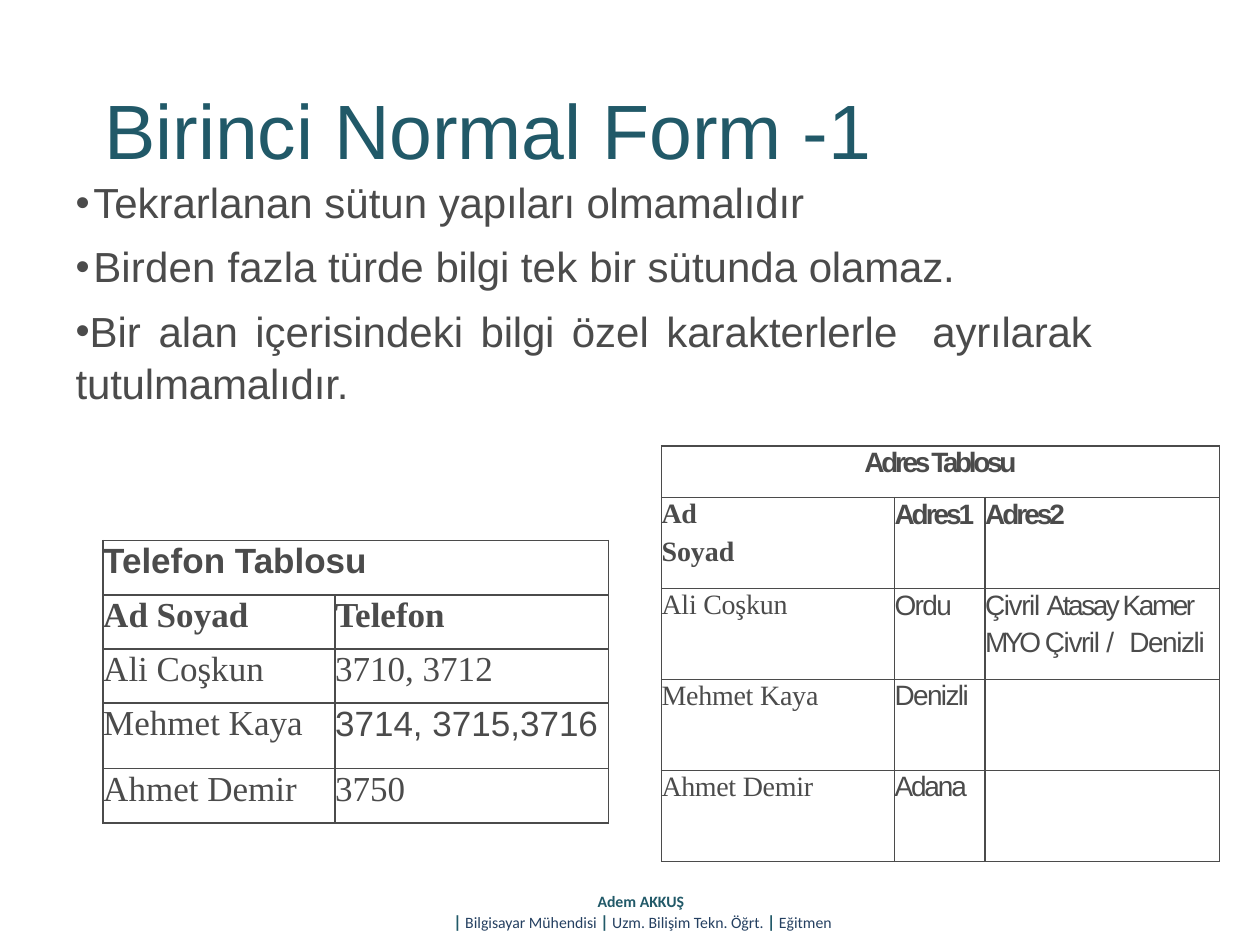
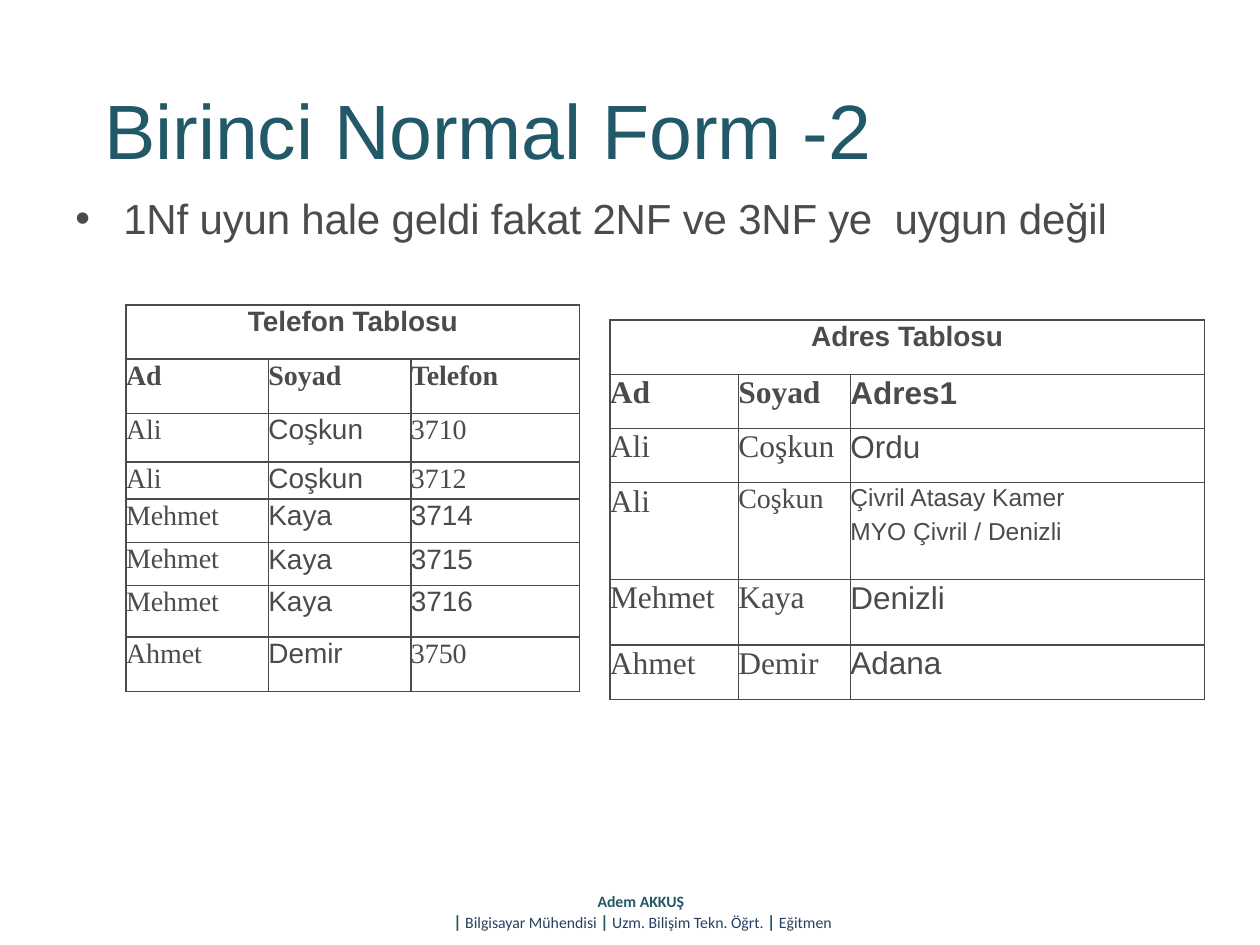
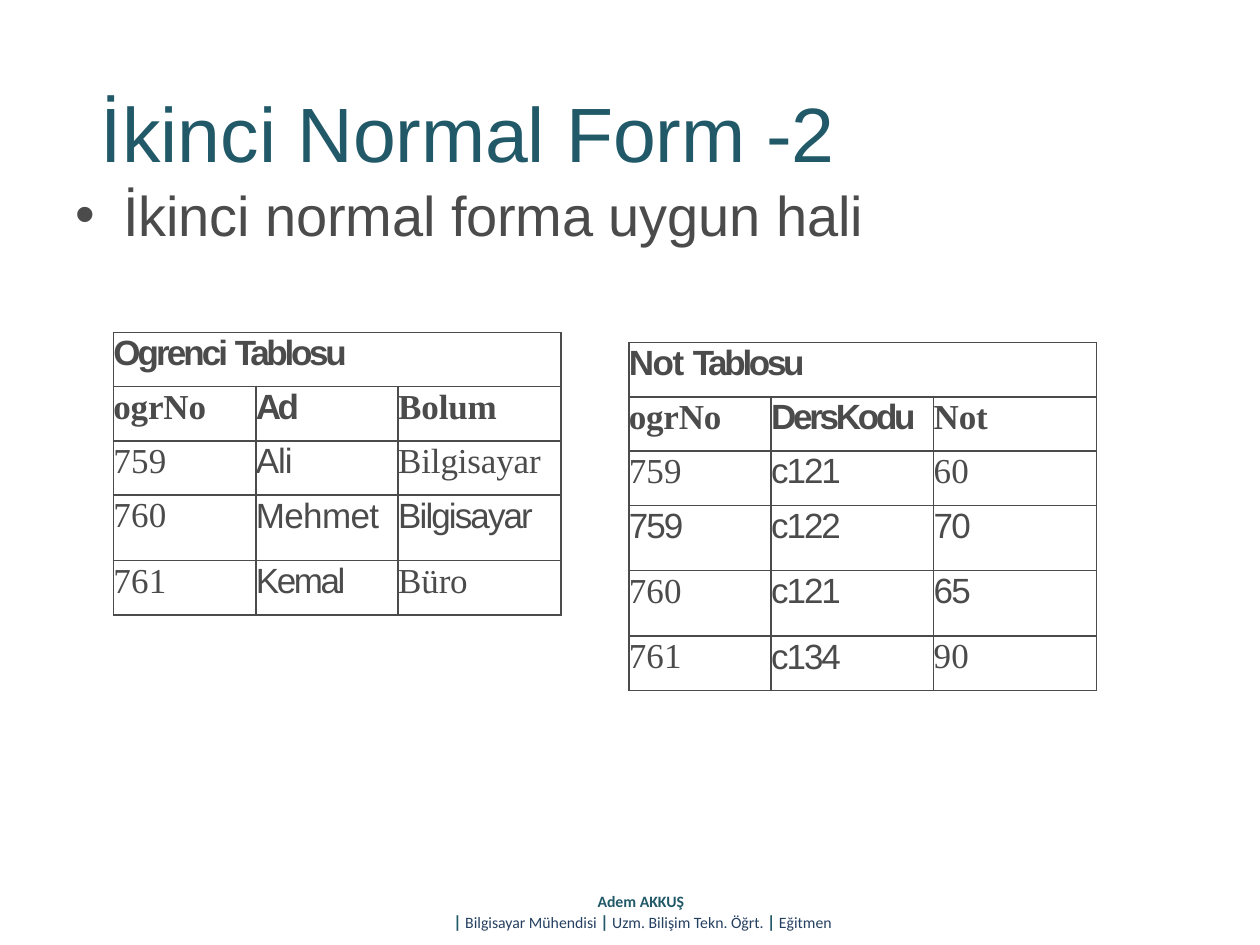
import pptx
import pptx.util
import pptx.dml.color
import pptx.enum.text
import pptx.oxml
import pptx.oxml.ns
import lxml.etree

Pt = pptx.util.Pt
ALIGN = pptx.enum.text.PP_ALIGN
ANCHOR = pptx.enum.text.MSO_ANCHOR

TEAL, GREY, NAVY = "215968", "4B4B4B", "254061"
FONTS = {"A": "Arial", "T": "Times New Roman"}

BRAND = {"size": 9, "bold": True, "hue": TEAL}
BAR = {"size": 10, "bold": True, "hue": TEAL}
JOB = {"size": 9, "bold": False, "hue": NAVY}
FOOTER = [
    ("Adem AKKUŞ ", BRAND), None,
    ("|", BAR), (" Bilgisayar Mühendisi ", JOB),
    ("|", BAR), (" Uzm. Bilişim Tekn. Öğrt. ", JOB),
    ("|", BAR), (" Eğitmen", JOB),
]
FOOTBOX = (216, 509.8, 302.4, 23)

# Paragraphs are strings, or text and letter spacing in turn.
SLIDES = [
    {
        "title": ("Birinci Normal Form -1", -0.1),
        "head": (59.8, 45.4, 594, 54.7),
        "box": (42.5, 95, 635.8, 138.2),
        "size": 24,
        "list": [
            {"text": ("Tekrarlanan sütun ", 0, "yapıları olmamalıdır", -0.1),
             "left": 10.8, "hang": -10.1},
            {"text": ("Birden ", 0.1, "fazla türde ", 0, "bilgi ", -0.1,
                      "tek ", 0.1, "bir sütunda ", 0, "olamaz.", -0.1),
             "left": 10.8, "hang": -10.1, "gap": 6.7},
            {"text": ("Bir alan içerisindeki ", 0, "bilgi ", -0.1,
                      "özel karakterlerle  ", 0,
                      "ayrılarak tutulmamalıdır.", -0.1),
             "left": 0.7, "hang": 0, "gap": 6.8, "right": 54.5},
        ],
        "tables": [
            {
                "at": (59, 308.9), "size": 20, "align": ALIGN.LEFT,
                "cols": (132.5, 156.2), "rows": (31, 31, 31, 37.4, 31),
                "cells": [
                    [("A", "Telefon Tablosu")],
                    [("T", "Ad Soyad"), ("T", "Telefon")],
                    [("T", "Ali Coşkun"), ("T", "3710, 3712")],
                    [("T", "Mehmet Kaya"), ("A", "3714, 3715,3716")],
                    [("T", "Ahmet Demir"), ("T", "3750")],
                ],
            },
            {
                "at": (378, 254.9), "size": 16, "align": ALIGN.CENTER,
                "cols": (133.2, 51.8, 133.9), "rows": (29.5, 52, 52, 52, 52),
                "cells": [
                    [("A", ("Adres Tablosu", -1.9))],
                    [("T", ("Ad", -0.1), "Soyad"), ("A", ("Adres1", -1.7)),
                     ("A", ("Adres2", -1.7))],
                    [("T", ("Ali Coşkun", -0.1)), ("A", ("Ordu", -0.9)),
                     ("A", ("Çivril ", -0.8, "Atasay Kamer", -1.4),
                      ("MYO ", -2.2, "Çivril ", -0.8, "/ ", 2.1,
                       "Denizli", -0.8))],
                    [("T", ("Mehmet Kaya", -0.1)), ("A", ("Denizli", -0.9))],
                    [("T", ("Ahmet ", -0.2, "Demir", -0.1)),
                     ("A", ("Adana", -1.2))],
                ],
            },
        ],
    },
    {
        "title": ("Birinci Normal Form -2", -0.1),
        "head": (59.8, 45.4, 594, 54.7),
        "box": (42.5, 108.7, 629.3, 30.2),
        "size": 24,
        "list": [
            {"text": ("1Nf uyun hale geldi fakat 2NF ve 3NF ", -0.1,
                      "ye  uygun ", -0.2, "değil", -0.1),
             "left": 28, "hang": -27.4},
        ],
        "tables": [
            {
                "at": (72, 174.2), "size": 16, "align": ALIGN.CENTER,
                "cols": (81.4, 81.4, 96.5),
                "rows": (31, 31, 28, 21, 25, 24.5, 29.5, 31),
                "cells": [
                    [("A", "Telefon Tablosu")],
                    [("T", "Ad"), ("T", "Soyad"), ("T", "Telefon")],
                    [("T", "Ali"), ("A", "Coşkun"), ("T", "3710")],
                    [("T", "Ali"), ("A", "Coşkun"), ("T", "3712")],
                    [("T", "Mehmet"), ("A", "Kaya"), ("A", "3714")],
                    [("T", "Mehmet"), ("A", "Kaya"), ("A", "3715")],
                    [("T", "Mehmet"), ("A", "Kaya"), ("A", "3716")],
                    [("T", "Ahmet"), ("A", "Demir"), ("T", "3750")],
                ],
            },
            {
                "at": (348.5, 182.9), "size": 18, "align": ALIGN.CENTER,
                "cols": (73.4, 64.1, 202.3),
                "rows": (31, 31, 31, 55.4, 37.4, 31),
                "cells": [
                    [("A16", "Adres Tablosu")],
                    [("T", "Ad"), ("T", "Soyad"), ("A", "Adres1")],
                    [("T", "Ali"), ("T", "Coşkun"), ("A", "Ordu")],
                    [("T", "Ali"), ("T16", "Coşkun"),
                     ("A14", "Çivril Atasay Kamer", "MYO Çivril / Denizli")],
                    [("T", "Mehmet"), ("T", "Kaya"), ("A", "Denizli")],
                    [("T", "Ahmet"), ("T", "Demir"), ("A", "Adana")],
                ],
            },
        ],
    },
    {
        "title": ("İkinci ", 0, "Normal Form -2", -0.1),
        "head": (57.6, 46.8, 422.6, 54.7),
        "box": (42.5, 101.5, 452.9, 40.3),
        "size": 32,
        "list": [
            {"text": ("İkinci normal forma uygun hali", -0.1),
             "left": 28, "hang": -27.4},
        ],
        "tables": [
            {
                "at": (64.8, 190), "size": 20, "align": ALIGN.LEFT,
                "cols": (81.4, 81.4, 92.9), "rows": (31, 31, 31, 37.4, 31),
                "cells": [
                    [("A", ("Ogrenci ", -1.7, "Tablosu", -1.9))],
                    [("T", ("ogrNo", -0.1)), ("A", ("Ad", -2)),
                     ("T", ("Bolum", -0.1))],
                    [("T", ("759", 0.1)), ("A", ("Ali", -0.6)),
                     ("T", ("Bilgisayar", -0.1))],
                    [("T", ("760", 0.1)), ("A", ("Mehmet", -0.4)),
                     ("A", ("Bilgisayar", -1.1))],
                    [("T", ("761", 0.1)), ("A", ("Kemal", -1.4)),
                     ("T", ("Büro", -0.1))],
                ],
            },
            {
                "at": (359.3, 195.8), "size": 20, "align": ALIGN.LEFT,
                "cols": (81.4, 92.9, 92.9),
                "rows": (31, 31, 31, 37.4, 37.4, 31),
                "cells": [
                    [("A", ("Not ", -0.8, "Tablosu", -1.9))],
                    [("T", ("ogrNo", -0.1)), ("A", ("DersKodu", -1.9)),
                     ("T", ("Not", -0.1))],
                    [("T", ("759", 0.1)), ("A", ("c121", -1.2)),
                     ("T", ("60", 0.1))],
                    [("A", ("759", -1.1)), ("A", ("c122", -1.2)),
                     ("A", ("70", -1.1))],
                    [("T", ("760", 0.1)), ("A", ("c121", -1.2)),
                     ("A", ("65", -1.1))],
                    [("T", ("761", 0.1)), ("A", ("c134", -1.2)),
                     ("T", ("90", 0.1))],
                ],
            },
        ],
    },
]


def tint(code):
    return pptx.dml.color.RGBColor.from_string(code)


def put(item, vals):
    for key, val in vals.items():
        setattr(item, key, val)


def place(shape, box):
    put(shape, dict(zip(("left", "top", "width", "height"), map(Pt, box))))


def frame(shape, top, anchor):
    put(shape.text_frame, {
        "word_wrap": True, "auto_size": pptx.enum.text.MSO_AUTO_SIZE.NONE,
        "margin_left": 0, "margin_right": 0, "margin_top": Pt(top),
        "margin_bottom": 0, "vertical_anchor": anchor,
    })
    return shape.text_frame


def node(root, tag, **vals):
    part = lxml.etree.SubElement(root, pptx.oxml.ns.qn("a:" + tag))
    for key, val in vals.items():
        part.set(key, str(val))
    return part


def write(para, text, size, hue, face="Arial", bold=False, gap=0):
    run = para.add_run()
    run.text = text
    put(run.font, {"name": face, "size": Pt(size), "bold": bold})
    run.font.color.rgb = tint(hue)
    if gap:
        run._r.get_or_add_rPr().set("spc", str(round(gap * 100)))


def fill(para, text, size, hue, face="Arial", bold=False):
    pairs = (text, 0) if isinstance(text, str) else text
    for word, gap in zip(pairs[::2], pairs[1::2]):
        write(para, word, size, hue, face, bold, gap)


def line(body, num):
    return body.add_paragraph() if num else body.paragraphs[0]


def add_head(slide, data):
    shape = slide.shapes.title
    place(shape, data["head"])
    para = frame(shape, 0.7, ANCHOR.BOTTOM).paragraphs[0]
    para.alignment = ALIGN.LEFT
    fill(para, data["title"], 44, TEAL)


def add_list(slide, data):
    shape = slide.placeholders[1]
    place(shape, data["box"])
    body = frame(shape, 0.7, ANCHOR.BOTTOM)
    many = len(data["list"]) > 1
    for num, item in enumerate(data["list"]):
        para = line(body, num)
        put(para, {
            "alignment": ALIGN.JUSTIFY if many else ALIGN.LEFT,
            "line_spacing": 1.04, "space_before": Pt(item.get("gap", 0)),
        })
        prop = para._p.get_or_add_pPr()
        for key, name in (("marL", "left"), ("marR", "right"),
                          ("indent", "hang")):
            prop.set(key, str(int(Pt(item.get(name, 0)))))
        node(prop, "buSzPct", val=96000 if many else 100000)
        node(prop, "buFont", typeface="Arial")
        node(prop, "buChar", char="•")
        tabs = node(prop, "tabLst")
        node(tabs, "tab", pos=int(Pt(data["list"][0]["left"])), algn="l")
        fill(para, item["text"], data["size"], GREY)


def edge(cell):
    prop = cell._tc.get_or_add_tcPr()
    for side in ("lnL", "lnR", "lnT", "lnB"):
        rule = node(prop, side, w=int(Pt(1)))
        node(node(rule, "solidFill"), "srgbClr", val=GREY)


def add_grid(slide, data):
    cols, rows = data["cols"], data["rows"]
    box = data["at"] + (sum(cols), sum(rows))
    grid = slide.shapes.add_table(len(rows), len(cols), *map(Pt, box)).table
    put(grid, {"first_row": False, "horz_banding": False})
    for col, size in zip(grid.columns, cols):
        col.width = Pt(size)
    for row, size in zip(grid.rows, rows):
        row.height = Pt(size)
    for cell in grid.iter_cells():
        put(cell, {"margin_left": 0, "margin_right": 0,
                   "margin_top": Pt(0.7), "margin_bottom": 0})
        edge(cell)
        cell.fill.background()
    grid.cell(0, 0).merge(grid.cell(0, len(cols) - 1))
    for r, row in enumerate(data["cells"]):
        for c, (mark, *texts) in enumerate(row):
            size = int(mark[1:] or data["size"])
            for num, text in enumerate(texts):
                para = line(grid.cell(r, c).text_frame, num)
                put(para, {
                    "alignment": ALIGN.LEFT if r else data["align"],
                    "space_before": Pt(3.6 if num else 0),
                })
                fill(para, text, size, GREY, FONTS[mark[0]], r < 2)


def add_foot(slide):
    shape = slide.shapes.add_textbox(*map(Pt, FOOTBOX))
    para = frame(shape, 0, ANCHOR.TOP).paragraphs[0]
    para.alignment = ALIGN.CENTER
    for part in FOOTER:
        if part:
            write(para, part[0], face="Calibri", **part[1])
        else:
            para.add_line_break()


def main():
    deck = pptx.Presentation()
    put(deck, {"slide_width": Pt(720), "slide_height": Pt(540)})
    for data in SLIDES:
        slide = deck.slides.add_slide(deck.slide_layouts[1])
        add_head(slide, data)
        add_list(slide, data)
        for table in data["tables"]:
            add_grid(slide, table)
        add_foot(slide)
    deck.save("out.pptx")


if __name__ == "__main__":
    main()
